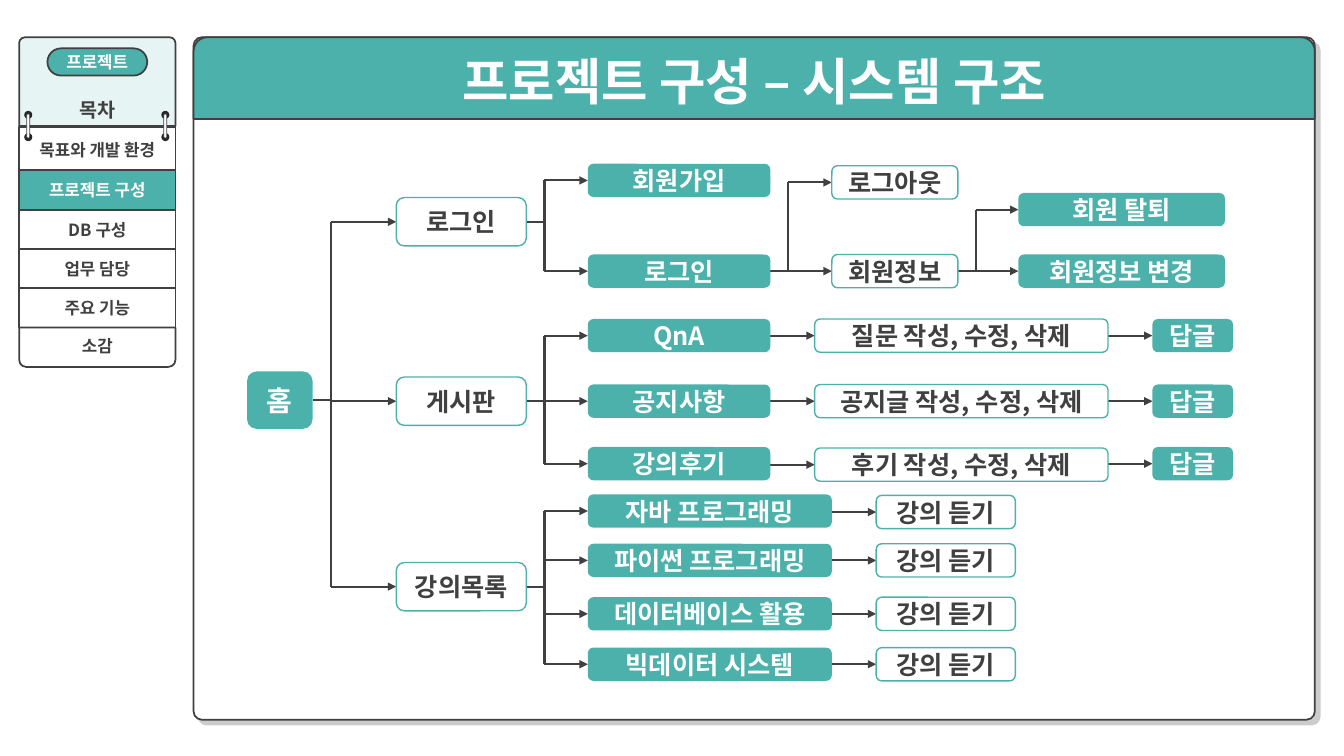
"""Build the slide that shows the project's system structure as a tree."""
import lxml.etree
import pptx
import pptx.dml.color
import pptx.enum.shapes
import pptx.enum.text
import pptx.oxml.ns
import pptx.util

TITLE = "프로젝트 구성 – 시스템 구조"
BADGE = "프로젝트"
MENU_HEADING = "목차"
MENU = ["목표와 개발 환경", "프로젝트 구성", "DB 구성", "업무 담당", "주요 기능", "소감"]
CURRENT = "프로젝트 구성"

TREE = ("홈", "home", 3.97, [
    ("로그인", "branch", 2.2, [
        ("회원가입", "page", 1.79, []),
        ("로그인", "page", 2.69, [
            ("로그아웃", "member", 1.81, []),
            ("회원정보", "member", 2.69, [
                ("회원 탈퇴", "account", 2.08, []),
                ("회원정보 변경", "account", 2.69, [])])])]),
    ("게시판", "branch", 3.98, [
        ("QnA", "page", 3.33, [
            ("질문 작성, 수정, 삭제", "post", 3.33, [("답글", "reply", 3.33, [])])]),
        ("공지사항", "page", 3.98, [
            ("공지글 작성, 수정, 삭제", "post", 3.98, [("답글", "reply", 3.98, [])])]),
        ("강의후기", "page", 4.6, [
            ("후기 작성, 수정, 삭제", "post", 4.61, [("답글", "reply", 4.6, [])])])]),
    ("강의목록", "branch", 5.82, [
        ("자바 프로그래밍", "course", 5.07, [("강의 듣기", "listen", 5.08, [])]),
        ("파이썬 프로그래밍", "course", 5.56, [("강의 듣기", "listen", 5.56, [])]),
        ("데이터베이스 활용", "course", 6.09, [("강의 듣기", "listen", 6.09, [])]),
        ("빅데이터 시스템", "course", 6.59, [("강의 듣기", "listen", 6.59, [])])])])

COLUMNS = {
    "home": (2.45, 0.65, 0.57, True),
    "branch": (3.93, 1.29, 0.48, False),
    "page": (5.83, 1.81, 0.33, True),
    "course": (5.83, 2.42, 0.33, True),
    "member": (8.25, 1.25, 0.33, False),
    "post": (8.08, 2.91, 0.33, False),
    "listen": (8.69, 1.38, 0.33, False),
    "account": (10.1, 2.05, 0.33, True),
    "reply": (11.43, 0.8, 0.33, True),
}
TRUNK_GAP = 0.18
PANEL = (1.92, 0.37, 11.12, 6.77)
HEADER_HEIGHT = 0.81
MENU_LEFT, MENU_TOP, MENU_WIDTH = 0.19, 0.37, 1.55
FIRST_ROW, SECOND_ROW, ROW_HEIGHT = 1.26, 1.69, 0.39
RING_CENTERS = (0.28, 1.64)

THEME = {
    "font": "Noto Sans CJK KR",
    "teal": "4CB1AB", "pale": "E6F4F4", "white": "FFFFFF",
    "ink": "404040", "hole": "262626",
    "title": 36, "home": 20, "node": 18, "heading": 14, "menu": 12,
    "frame": 1.25, "outline": 1, "ring": 0.5, "link": 1.5,
}
KINDS = pptx.enum.shapes.MSO_SHAPE
ANCHORS = pptx.enum.text.MSO_ANCHOR
inch = pptx.util.Inches


def color(name):
    return pptx.dml.color.RGBColor.from_string(THEME[name])


def add_element(parent, tag, **attributes):
    return lxml.etree.SubElement(parent, pptx.oxml.ns.qn(tag), attributes)


def add_box(page, kind, place, fill, line=None, weight="frame", corners=()):
    box = page.shapes.add_shape(kind, *map(inch, place))
    box.shadow.inherit = False
    box.fill.solid()
    box.fill.fore_color.rgb = color(fill)
    if line:
        box.line.color.rgb = color(line)
        box.line.width = pptx.util.Pt(THEME[weight])
    else:
        box.line.fill.background()
    for index, corner in enumerate(corners):
        box.adjustments[index] = corner
    return box


def write(box, text, size, ink, anchor=ANCHORS.MIDDLE, wrap=True):
    frame = box.text_frame
    frame.text = text
    frame.word_wrap = wrap
    frame.vertical_anchor = anchor
    para = frame.paragraphs[0]
    para.alignment = pptx.enum.text.PP_ALIGN.CENTER
    font = para.runs[0].font
    font.name = THEME["font"]
    font.size = pptx.util.Pt(THEME[size])
    font.bold = True
    font.color.rgb = color(ink)
    add_element(font._element, "a:ea", typeface=THEME["font"])
    return para


def add_link(page, start, end, arrow=False):
    link = page.shapes.add_connector(
        pptx.enum.shapes.MSO_CONNECTOR.STRAIGHT, *map(inch, start + end))
    link.line.color.rgb = color("ink")
    link.line.width = pptx.util.Pt(THEME["link"])
    if arrow:
        add_element(link.line._get_or_add_ln(), "a:tailEnd", type="triangle")
    add_element(link._element.spPr, "a:effectLst")


def add_node(page, node):
    text, column, row, children = node
    left, width, height, filled = COLUMNS[column]
    right = left + width
    trunk = right + TRUNK_GAP
    if len(children) > 1:
        rows = [child[2] for child in children]
        add_link(page, (right, row), (trunk, row))
        add_link(page, (trunk, min(rows)), (trunk, max(rows)))
    for child in children:
        start = trunk if len(children) > 1 else right
        add_link(page, (start, child[2]), (COLUMNS[child[1]][0], child[2]), True)
        add_node(page, child)
    fill, line, ink = ("teal", None, "white") if filled else ("white", "teal", "ink")
    place = (left, row - height / 2, width, height)
    box = add_box(page, KINDS.ROUNDED_RECTANGLE, place, fill, line, "outline")
    write(box, text, "home" if column == "home" else "node", ink)


def add_panel(page):
    panel = add_box(page, KINDS.ROUNDED_RECTANGLE, PANEL, "white", "ink", corners=[0.012])
    effects = panel._element.spPr.find(pptx.oxml.ns.qn("a:effectLst"))
    shadow = add_element(effects, "a:outerShdw", blurRad="0", dist=str(pptx.util.Pt(5)),
                         dir="2700000", algn="tl", rotWithShape="0")
    shade = add_element(shadow, "a:srgbClr", val="000000")
    add_element(shade, "a:alpha", val="20000")
    header = add_box(page, KINDS.ROUND_2_SAME_RECTANGLE, PANEL[:3] + (HEADER_HEIGHT,),
                     "teal", "ink")
    write(header, TITLE, "title", "white")


def add_menu(page):
    tab = KINDS.ROUND_2_SAME_RECTANGLE
    cover = add_box(page, tab, (MENU_LEFT, MENU_TOP, MENU_WIDTH, 0.88),
                    "pale", "ink", corners=[0.064, 0])
    write(cover, MENU_HEADING, "heading", "ink", ANCHORS.BOTTOM).line_spacing = 3.0
    for index, label in enumerate(MENU):
        top = SECOND_ROW + (index - 1) * ROW_HEIGHT if index else FIRST_ROW
        height = ROW_HEIGHT if index else 0.45
        fill, ink = ("teal", "white") if label == CURRENT else ("white", "ink")
        bottom_corner = 0.18 if label == MENU[-1] else 0
        row = add_box(page, tab, (MENU_LEFT, top, MENU_WIDTH, height), fill, "ink",
                      corners=[0, bottom_corner])
        write(row, label, "menu", ink)
    for center in RING_CENTERS:
        for top in (1.1, 1.32):
            add_box(page, KINDS.OVAL, (center - 0.04, top, 0.08, 0.08), "hole")
        add_box(page, KINDS.ROUNDED_RECTANGLE, (center - 0.015, 1.13, 0.03, 0.24),
                "white", "ink", "ring", [0.5])
    badge = add_box(page, KINDS.ROUNDED_RECTANGLE, (0.47, 0.48, 0.99, 0.27),
                    "teal", "ink", corners=[0.5])
    write(badge, BADGE, "menu", "white", wrap=False)


def main():
    deck = pptx.Presentation()
    deck.slide_width, deck.slide_height = inch(13.33), inch(7.5)
    page = deck.slides.add_slide(deck.slide_layouts[6])
    add_panel(page)
    add_menu(page)
    add_node(page, TREE)
    deck.save("out.pptx")


if __name__ == "__main__":
    main()
